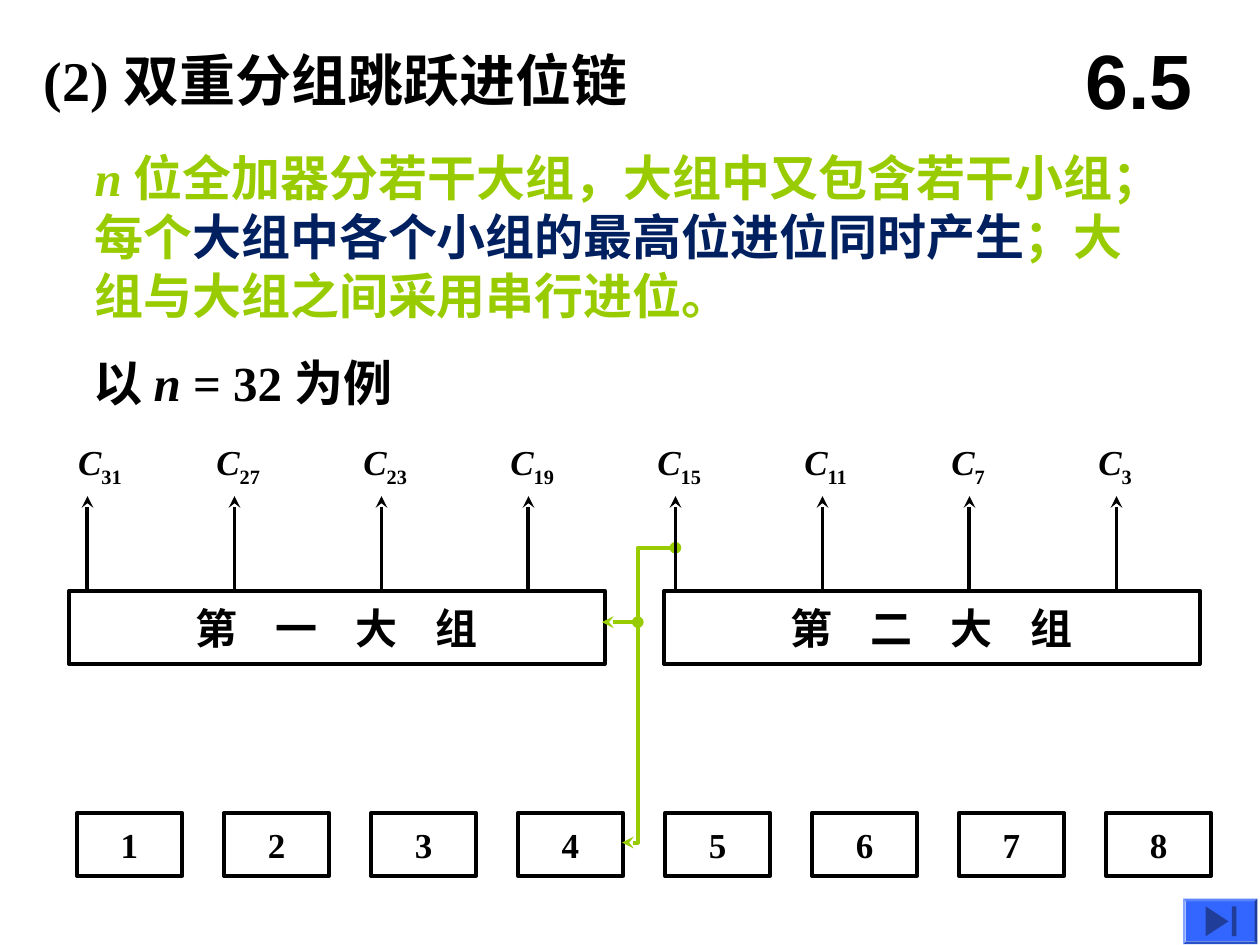
from lxml import etree
from pptx import Presentation
from pptx.dml.color import RGBColor
from pptx.enum.shapes import MSO_CONNECTOR, MSO_SHAPE
from pptx.enum.text import MSO_ANCHOR, PP_ALIGN
from pptx.oxml.ns import qn
from pptx.util import Pt

RECTANGLE = MSO_SHAPE.RECTANGLE
BEVEL = MSO_SHAPE.BEVEL
TRIANGLE = MSO_SHAPE.ISOSCELES_TRIANGLE
STRAIGHT = MSO_CONNECTOR.STRAIGHT
MIDDLE = MSO_ANCHOR.MIDDLE
TOP = MSO_ANCHOR.TOP
LEFT = PP_ALIGN.LEFT
CENTER = PP_ALIGN.CENTER

COLORS = {
    "black": "000000",
    "green": "99CC00",
    "navy": "002060",
    "button": "3366FF",
    "symbol": "1F3D99",
}
SERIF = "Times New Roman"
LINE_WIDTH = 2.25
PITCH = 84
GROUP_TOP = 337.5
CARRIES = [31, 27, 23, 19, 15, 11, 7, 3]


def color(name):
    return RGBColor.from_string(COLORS[name])


def set_font(font, size, name=SERIF, color_name="black"):
    font.size = Pt(size)
    font.name = name
    font.bold = True
    font.color.rgb = color(color_name)


def add_run(paragraph, text, color_name=None, italic=None):
    run = paragraph.add_run()
    run.text = text
    if color_name:
        run.font.color.rgb = color(color_name)
    if italic:
        run.font.italic = True
    return run


def add_text(slide, box, size, font_name=SERIF, color_name="black",
             margins=(7.2, 3.6), anchor=MIDDLE, align=LEFT, wrap=True):
    """Add an empty styled text box and return its paragraph."""
    frame = slide.shapes.add_textbox(*map(Pt, box)).text_frame
    frame.word_wrap = wrap
    frame.vertical_anchor = anchor
    frame.margin_left = frame.margin_right = Pt(margins[0])
    frame.margin_top = frame.margin_bottom = Pt(margins[1])
    paragraph = frame.paragraphs[0]
    paragraph.alignment = align
    set_font(paragraph.font, size, font_name, color_name)
    return paragraph


def add_box(slide, box, size):
    shape = slide.shapes.add_shape(RECTANGLE, *map(Pt, box))
    shape.shadow.inherit = False
    shape.fill.background()
    shape.line.color.rgb = color("black")
    shape.line.width = Pt(LINE_WIDTH)
    shape.text_frame.vertical_anchor = MIDDLE
    paragraph = shape.text_frame.paragraphs[0]
    paragraph.alignment = CENTER
    set_font(paragraph.font, size)
    return paragraph


def add_group(slide, left, ordinal):
    paragraph = add_box(slide, (left, GROUP_TOP, 306, 42), 24)
    spaced = add_run(paragraph, f"第{ordinal}大")
    spaced.font._element.set("spc", "2170")
    add_run(paragraph, "组")


def style_line(line, color_name, head=None, tail=None):
    line.color.rgb = color(color_name)
    line.width = Pt(LINE_WIDTH)
    for tag, kind in (("a:headEnd", head), ("a:tailEnd", tail)):
        if kind:
            etree.SubElement(line._get_or_add_ln(), qn(tag), type=kind)


def add_line(slide, start, end, color_name, head=None, tail=None):
    connector = slide.shapes.add_connector(STRAIGHT, *map(Pt, start + end))
    style_line(connector.line, color_name, head, tail)
    etree.SubElement(connector._element.spPr, qn("a:effectLst"))


def add_polyline(slide, points, color_name, head, tail):
    points = [(Pt(x), Pt(y)) for x, y in points]
    builder = slide.shapes.build_freeform(*points[0])
    builder.add_line_segments(points[1:], close=False)
    shape = builder.convert_to_shape()
    shape.fill.background()
    style_line(shape.line, color_name, head, tail)
    shape.shadow.inherit = False


def add_solid(slide, kind, box, color_name):
    shape = slide.shapes.add_shape(kind, *map(Pt, box))
    shape.shadow.inherit = False
    shape.fill.solid()
    shape.fill.fore_color.rgb = color(color_name)
    shape.line.fill.background()
    return shape


def add_carry(slide, index, carry):
    """Add one carry output: an upward arrow and its subscripted label."""
    x = 50 + PITCH * index
    add_line(slide, (x, GROUP_TOP), (x, 283.5), "black", tail="stealth")
    left = 37.5 if index == 0 else 32.5 + PITCH * index
    paragraph = add_text(slide, (left, 248, 40, 34.5), 20, anchor=TOP, wrap=False)
    add_run(paragraph, "C", italic=True)
    subscript = add_run(paragraph, str(carry))
    subscript.font._element.set("baseline", "-25000")


def add_end_button(slide):
    button = add_solid(slide, BEVEL, (676, 513.5, 42.5, 26), "button")
    button.adjustments[0] = 0.06
    triangle = add_solid(slide, TRIANGLE, (687, 520, 17, 13), "symbol")
    triangle.rotation = 90
    add_solid(slide, RECTANGLE, (704, 518, 2.5, 17), "symbol")


def main():
    presentation = Presentation()
    presentation.slide_width = Pt(720)
    presentation.slide_height = Pt(540)
    slide = presentation.slides.add_slide(presentation.slide_layouts[6])

    title = add_text(slide, (18, 18, 570, 54), 32)
    add_run(title, "(2) 双重分组跳跃进位链")
    section = add_text(slide, (606, 12, 90, 66), 44, "Arial", align=CENTER)
    add_run(section, "6.5")

    body = add_text(slide, (54, 66, 613.5, 138), 28, color_name="green", margins=(0, 0))
    add_run(body, "n ", italic=True)
    add_run(body, "位全加器分若干大组，大组中又包含若干小组；每个")
    add_run(body, "大组中各个小组的最高位进位同时产生", "navy")
    add_run(body, "；大组与大组之间采用串行进位。")

    example = add_text(slide, (53.5, 204, 199, 28), 28, margins=(0, 0))
    add_run(example, "以 ")
    add_run(example, "n", italic=True)
    add_run(example, " = 32 为例")

    for index in range(len(CARRIES)):
        number = add_box(slide, (44 + PITCH * index, 464.5, 60, 36), 20)
        add_run(number, str(index + 1))
    for left, ordinal in ((39.5, "一"), (379.5, "二")):
        add_group(slide, left, ordinal)

    add_line(slide, (344, 355.5), (364.5, 355.5), "green", "stealth", "oval")
    feedback = [(355.5, 481.5), (364.5, 481.5), (364.5, 313), (386, 313)]
    add_polyline(slide, feedback, "green", "stealth", "oval")
    for index, carry in enumerate(CARRIES):
        add_carry(slide, index, carry)
    add_end_button(slide)
    presentation.save("out.pptx")


if __name__ == "__main__":
    main()
